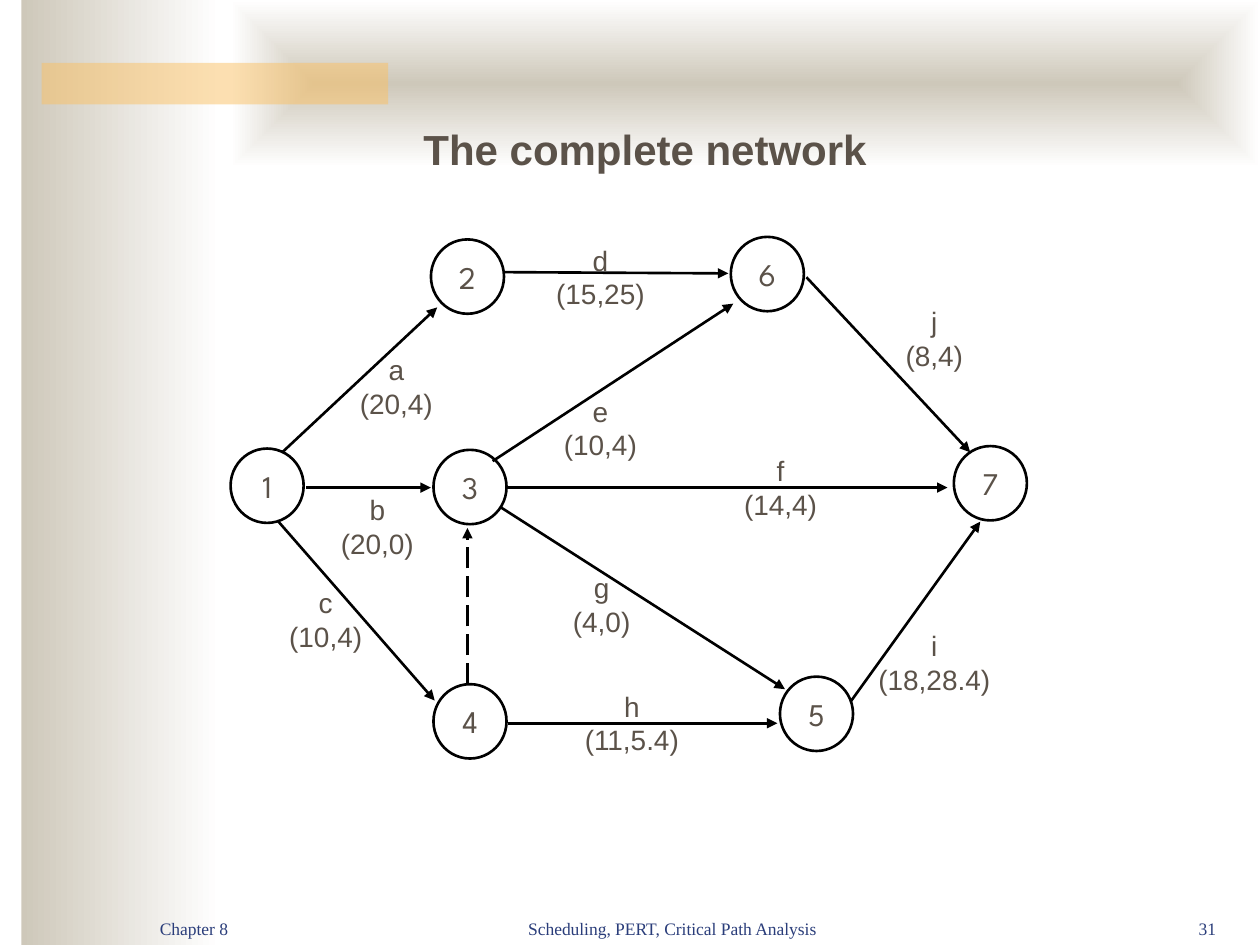
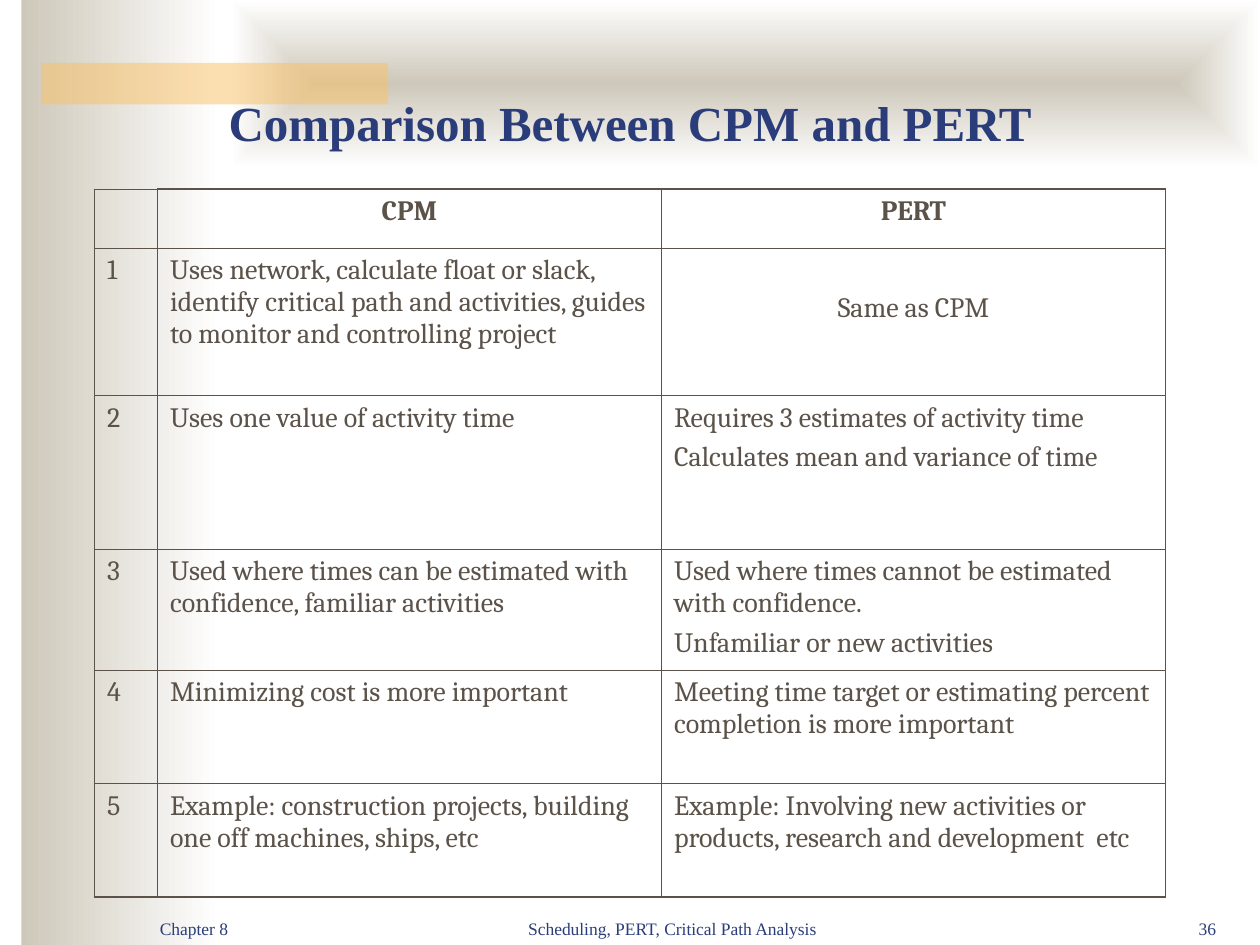
from pptx import Presentation
from pptx.dml.color import RGBColor
from pptx.enum.dml import MSO_LINE
from pptx.enum.shapes import MSO_CONNECTOR, MSO_SHAPE
from pptx.enum.text import MSO_ANCHOR as ANCHOR, MSO_AUTO_SIZE, PP_ALIGN as ALIGN
from pptx.oxml import parse_xml
from pptx.oxml.ns import nsdecls, qn
from pptx.util import Inches, Pt
from lxml import etree

COLORS = {"sand": "CEC8BA", "white": "FFFFFF", "gold": "FAC164",
          "navy": "2A3D7A", "brown": "5B5249", "black": "000000"}
SERIF, SANS, NODE_FONT, TABLE_FONT = "Times New Roman", "Arial", "League Spartan", "Cambria"


def rgb(name):
    return RGBColor.from_string(COLORS[name])


def write(tf, lines, size, font, color, align=ALIGN.LEFT, bold=False, before=0):
    tf.word_wrap = True
    for i, line in enumerate(lines):
        p = tf.paragraphs[0] if i == 0 else tf.add_paragraph()
        p.text = line
        p.alignment = align
        p.space_before = Pt(before)
        p.font.size = Pt(size)
        p.font.name = font
        p.font.bold = bold
        p.font.color.rgb = rgb(color)


prs = Presentation()
prs.slide_width, prs.slide_height = Inches(10), Inches(7.5)
layout = prs.slide_layouts[5]

titles = [
    ("The complete network", 24, SANS, "brown", (1.08, 0.93, 8.08, 0.9), ANCHOR.TOP),
    ("Comparison Between CPM and PERT", 28, SERIF, "navy", (0.75, 0.67, 8.5, 0.58), ANCHOR.BOTTOM),
]
footers = [("Chapter 8", 1.17, 2.08, ALIGN.LEFT),
           ("Scheduling, PERT, Critical Path Analysis", 3.75, 3.17, ALIGN.CENTER)]
slides = []
for (title, size, font, color, box, anchor), number in zip(titles, ("31", "36")):
    s = prs.slides.add_slide(layout)
    slides.append(s)
    sp = s.shapes.title
    sp.left, sp.top, sp.width, sp.height = map(Inches, box)
    sp.text_frame.auto_size = MSO_AUTO_SIZE.NONE
    sp.text_frame.vertical_anchor = anchor
    write(sp.text_frame, [title], size, font, color, ALIGN.CENTER, bold=True)
    for text, left, width, align in footers + [(number, 8.75, 1, ALIGN.RIGHT)]:
        sp = s.shapes.add_textbox(Inches(left), Inches(7), Inches(width), Inches(0.5))
        sp.text_frame.vertical_anchor = ANCHOR.BOTTOM
        write(sp.text_frame, [text], 10, SERIF, "navy", align)
network, comparison = slides

bands = []
for box in [(0.17, 0, 1.58, 7.5), (1.83, 0, 8.17, 1.33), (0.33, 0.5, 2.75, 0.33)]:
    sp = network.shapes.add_shape(MSO_SHAPE.RECTANGLE, *map(Inches, box))
    sp.shadow.inherit = False
    sp.line.fill.background()
    bands.append(sp)
side, top, accent = bands
for sp in (side, top):
    sp.fill.gradient()
    sp.fill.gradient_angle = 0
    for stop, name, position in zip(sp.fill.gradient_stops, ("sand", "white"), (0, 1)):
        stop.color.rgb = rgb(name)
        stop.position = position
grad = top.element.spPr.find(qn("a:gradFill"))
grad.replace(grad.find(qn("a:lin")), parse_xml(
    f'<a:path {nsdecls("a")} path="rect">'
    '<a:fillToRect l="50000" t="50000" r="50000" b="50000"/></a:path>'))
accent.fill.solid()
accent.fill.fore_color.rgb = rgb("gold")
gold = accent.element.spPr.find(qn("a:solidFill")).find(qn("a:srgbClr"))
etree.SubElement(gold, qn("a:alpha"), val="50000")
master_tree = prs.slide_master.element.cSld.spTree
for i, sp in enumerate(bands):
    master_tree.insert(2 + i, sp.element)

nodes = {"1": (1.83, 3.56), "2": (3.42, 1.9), "3": (3.44, 3.57), "4": (3.44, 5.43),
         "5": (6.19, 5.37), "6": (5.8, 1.88), "7": (7.57, 3.54)}
for name, (left, y) in nodes.items():
    sp = network.shapes.add_shape(MSO_SHAPE.OVAL, Inches(left), Inches(y), Inches(0.58), Inches(0.59))
    sp.shadow.inherit = False
    sp.fill.background()
    sp.line.color.rgb = rgb("black")
    sp.line.width = Pt(1.5)
    tf = sp.text_frame
    tf.margin_left = tf.margin_right = tf.margin_top = tf.margin_bottom = 0
    tf.vertical_anchor = ANCHOR.MIDDLE
    write(tf, [name], 18, NODE_FONT, "brown", ALIGN.CENTER)

dummy = (3.71, 5.43, 3.71, 4.19)
arrows = [
    (2.24, 3.59, 3.47, 2.44), (4.01, 2.16, 5.78, 2.17), (2.43, 3.87, 3.42, 3.87),
    (4.02, 3.87, 7.52, 3.87), (2.21, 4.14, 3.45, 5.56), (4.03, 5.74, 6.17, 5.74),
    (3.98, 4.03, 6.23, 5.47), (6.75, 5.57, 7.78, 4.14), (6.4, 2.2, 7.7, 3.59),
    (3.91, 3.66, 5.82, 2.41), dummy,
]
for ends in arrows:
    sp = network.shapes.add_connector(MSO_CONNECTOR.STRAIGHT, *map(Inches, ends))
    sp.line.color.rgb = rgb("black")
    sp.line.width = Pt(1.5)
    if ends == dummy:
        sp.line.dash_style = MSO_LINE.LONG_DASH
    etree.SubElement(sp.line._get_or_add_ln(), qn("a:tailEnd"), type="triangle")
    etree.SubElement(sp.element.spPr, qn("a:effectLst"))

activities = [
    ("a", "(20,4)", 2.62, 2.75), ("b", "(20,0)", 2.47, 3.86), ("c", "(10,4)", 2.06, 4.6),
    ("d", "(15,25)", 4.24, 1.88), ("e", "(10,4)", 4.24, 3.08), ("f", "(14,4)", 5.67, 3.55),
    ("g", "(4,0)", 4.25, 4.48), ("h", "(11,5.4)", 4.49, 5.42), ("i", "(18,28.4)", 6.89, 4.94),
    ("j", "(8,4)", 6.89, 2.37),
]
for name, times, left, y in activities:
    sp = network.shapes.add_textbox(Inches(left), Inches(y), Inches(1.05), Inches(0.75))
    sp.text_frame.margin_left = sp.text_frame.margin_right = 0
    write(sp.text_frame, [name, times], 16, SANS, "brown", ALIGN.CENTER)

rows = [
    ([], ["CPM"], ["PERT"]),
    (["1"], ["Uses network, calculate float or slack, identify critical path and activities, "
             "guides to monitor and controlling project"], ["Same as CPM"]),
    (["2"], ["Uses one value of activity time"],
     ["Requires 3 estimates of activity time", "Calculates mean and variance of time"]),
    (["3"], ["Used where times can be estimated with confidence, familiar activities"],
     ["Used where times cannot be estimated with confidence.", "Unfamiliar or new activities"]),
    (["4"], ["Minimizing cost is more important"],
     ["Meeting time target or estimating percent completion is more important"]),
    (["5"], ["Example: construction projects, building one off machines, ships, etc"],
     ["Example: Involving new activities or products, research and development  etc"]),
]
widths = (0.5, 4, 4)
heights = (0.47, 1.17, 1.22, 0.96, 0.9, 0.9)
table = comparison.shapes.add_table(len(rows), len(widths), Inches(0.75), Inches(1.5),
                                    Inches(sum(widths)), Inches(sum(heights))).table
table.first_row = table.horz_banding = False
for column, width in zip(table.columns, widths):
    column.width = Inches(width)
for row, height in zip(table.rows, heights):
    row.height = Inches(height)
last_row, last_col = len(rows) - 1, len(widths) - 1
for r, row in enumerate(rows):
    for c, lines in enumerate(row):
        cell = table.cell(r, c)
        centered = r == 0 or lines == ["Same as CPM"]
        write(cell.text_frame, lines, 16, TABLE_FONT, "brown",
              ALIGN.CENTER if centered else ALIGN.LEFT, bold=r == 0, before=4)
        if lines == ["Same as CPM"]:
            cell.margin_top = Inches(0.35)
        outer = {"L": c == 0, "R": c == last_col, "T": r == 0 and c > 0, "B": r == last_row}
        tc_pr = cell._tc.get_or_add_tcPr()
        for edge, thick in outer.items():
            ln = etree.SubElement(tc_pr, qn(f"a:ln{edge}"), w=str(Pt(1.08 if thick else 0.45)))
            fill = etree.SubElement(ln, qn("a:solidFill"))
            etree.SubElement(fill, qn("a:srgbClr"), val=COLORS["brown"])
        cell.fill.background()

prs.save("out.pptx")
